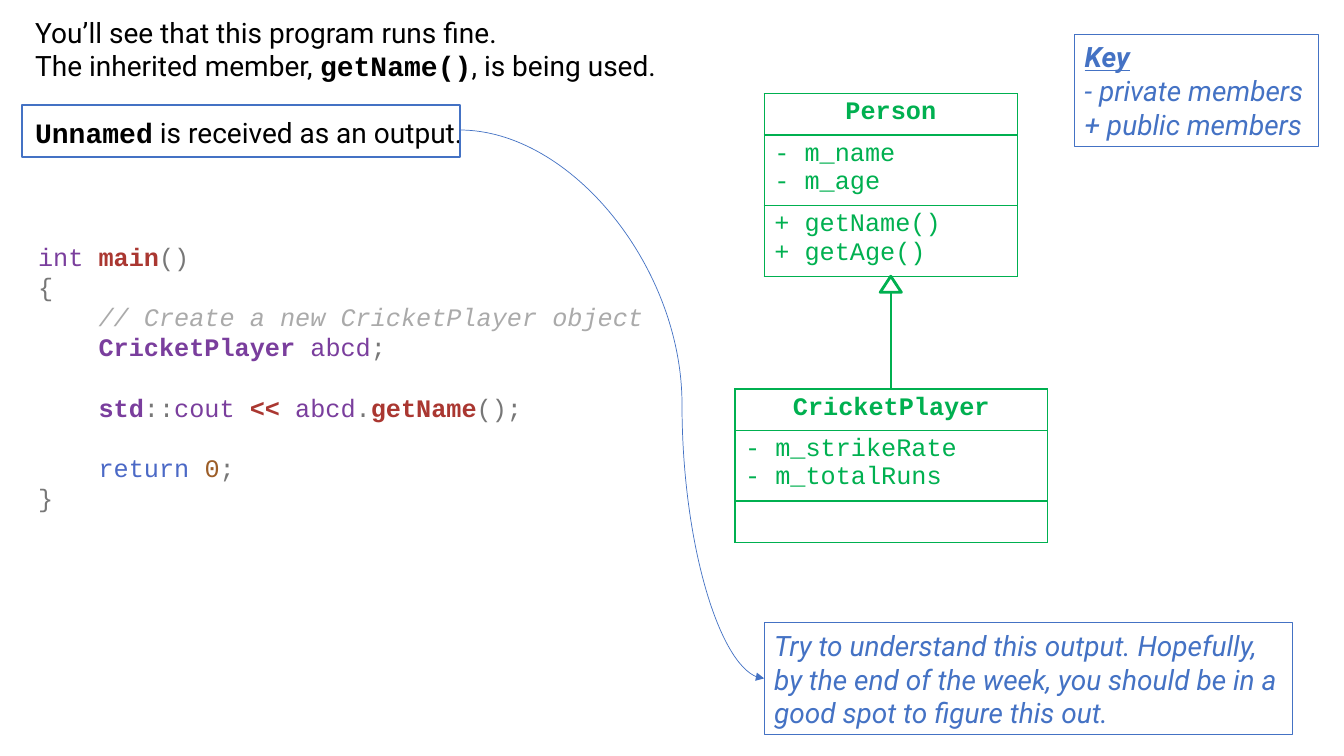
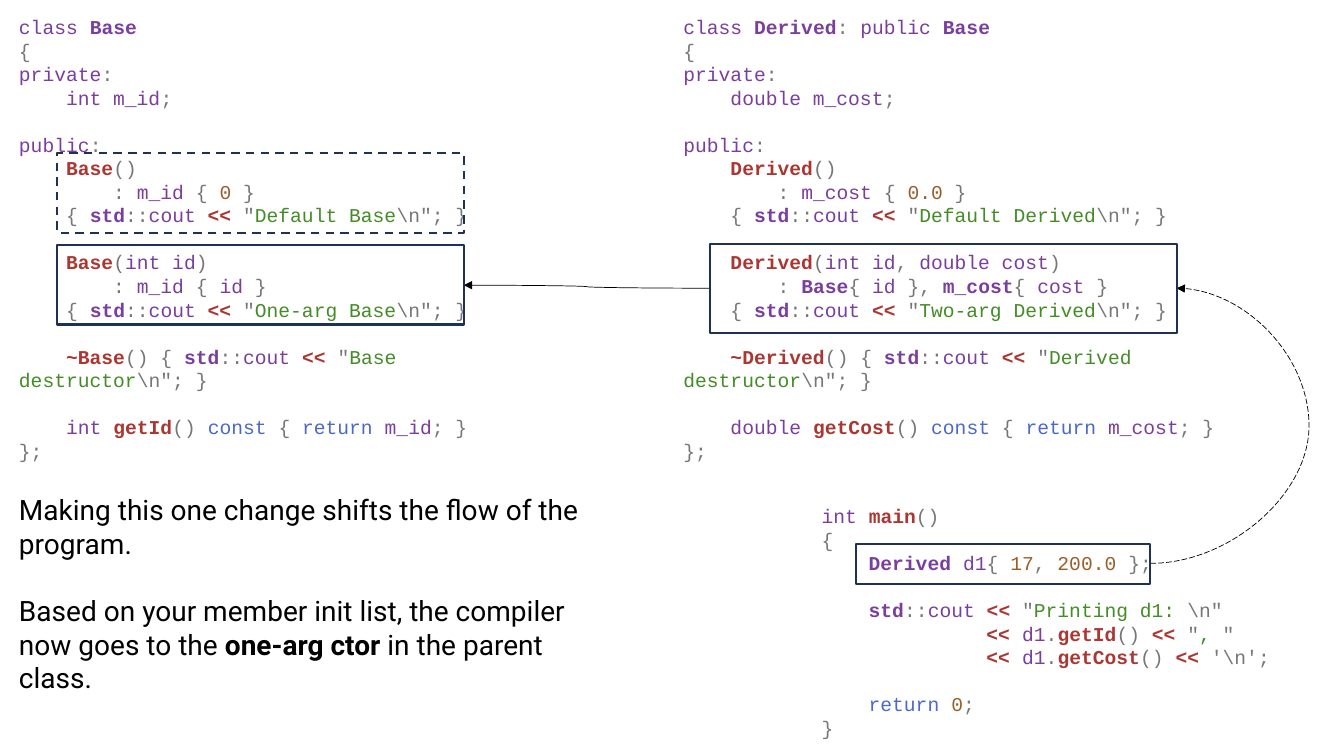
"""Build two slides on inherited members and constructor flow in C++."""
from lxml import etree
from pptx import Presentation
from pptx import util as u
from pptx.dml.color import RGBColor
from pptx.enum import dml, shapes, text
from pptx.oxml import ns

BLACK = RGBColor(0x00, 0x00, 0x00)
WHITE = RGBColor(0xFF, 0xFF, 0xFF)
BLUE = RGBColor(0x44, 0x72, 0xC4)
NAVY = RGBColor(0x1E, 0x32, 0x56)
GREEN = RGBColor(0x00, 0xB0, 0x50)
VIOLET = RGBColor(0x7A, 0x3E, 0x9D)
RED = RGBColor(0xAA, 0x37, 0x31)
GREY = RGBColor(0x77, 0x77, 0x77)
PALE_GREY = RGBColor(0xAA, 0xAA, 0xAA)
KEYWORD_BLUE = RGBColor(0x4B, 0x69, 0xC6)
BROWN = RGBColor(0x9C, 0x5D, 0x27)
STRING_GREEN = RGBColor(0x44, 0x8C, 0x27)

MONO, SANS = "Courier New", "Roboto"
STYLES = {
    "v": (VIOLET, {"name": MONO}),
    "V": (VIOLET, {"name": MONO, "bold": True}),
    "r": (RED, {"name": MONO, "bold": True}),
    "g": (GREY, {"name": MONO}),
    "c": (PALE_GREY, {"name": MONO, "italic": True}),
    "k": (KEYWORD_BLUE, {"name": MONO}),
    "n": (BROWN, {"name": MONO}),
    "s": (STRING_GREEN, {"name": MONO}),
    "p": (BLACK, {"name": SANS}),
    "P": (BLACK, {"name": SANS, "bold": True}),
    "M": (BLACK, {"name": MONO, "bold": True}),
    "i": (BLUE, {"name": SANS, "italic": True}),
    "K": (BLUE, {"name": SANS, "italic": True, "bold": True, "underline": True}),
    "t": (GREEN, {"name": MONO}),
    "T": (GREEN, {"name": MONO, "bold": True}),
}
LINE_HEIGHT = 1.2


def write(frame, lines, size, align=text.PP_ALIGN.LEFT):
    """Write lines of style`text pairs; an empty line becomes space before the next."""
    frame.word_wrap = True
    para, gap = None, 0
    for line in lines:
        if not line:
            gap += size * LINE_HEIGHT
            continue
        para = frame.add_paragraph() if para is not None else frame.paragraphs[0]
        para.alignment = align
        para.space_before = u.Pt(gap)
        gap = 0
        parts = line.split("`")
        for style, words in zip(parts[::2], parts[1::2]):
            color, formats = STYLES[style]
            span = para.add_run()
            span.text = words
            for name, value in {"size": u.Pt(size), **formats}.items():
                setattr(span.font, name, value)
            span.font.color.rgb = color


deck = Presentation()
deck.slide_width, deck.slide_height = u.Inches(13.33), u.Inches(7.5)
output_page, flow_page = [deck.slides.add_slide(deck.slide_layouts[6]) for _ in range(2)]

output_main = [
    "v`int `r`main`g`()",
    "g`{",
    "c`    // Create a new CricketPlayer object",
    "V`    CricketPlayer `v`abcd`g`;",
    "",
    "V`    std`g`::`v`cout `r`<< `v`abcd`g`.`r`getName`g`();",
    "",
    "k`    return `n`0`g`;",
    "g`}",
]
output_notes = [
    "p`You’ll see that this program runs fine.",
    "p`The inherited member, `M`getName()`p`, is being used.",
    "",
    "M`Unnamed`p` is received as an output.",
]
flow_main = [
    "v`int `r`main`g`()",
    "g`{",
    "V`    Derived `v`d1`g`{ `n`17`g`, `n`200.0 `g`};",
    "",
    r'V`    std`g`::`v`cout `r`<< `g`"`s`Printing d1: `g`\n"',
    'r`              << `v`d1`g`.`r`getId`g`() `r`<< `g`"`s`, `g`"',
    r"r`              << `v`d1`g`.`r`getCost`g`() `r`<< `g`'\n';",
    "",
    "k`    return `n`0`g`;",
    "g`}",
]
flow_notes = [
    "p`Making this one change shifts the flow of the program.",
    "",
    "p`Based on your member init list, the compiler now goes to the "
    "`P`one-arg ctor`p` in the parent class.",
]
listings = [
    (output_page, (0.28, 2.34, 6.66, 2.83), output_main, 18),
    (output_page, (0.25, 0.1, 12.83, 1.45), output_notes, 20),
    (flow_page, (8.05, 4.95, 5.19, 2.46), flow_main, 14),
    (flow_page, (0.09, 4.84, 6.13, 1.78), flow_notes, 20),
]

classes = [
    ((6.68, 0.1, 6.56, 4.34), "Derived", "g`: `v`public `V`Base", "double", "m_cost", "0.0",
     "v`int id`g`, `v`double cost", "V`Base`g`{ `v`id `g`}, `V`m_cost`g`{ `v`cost ",
     "Two-arg", "getCost"),
    ((0.09, 0.1, 5.84, 4.34), "Base", "", "int", "m_id", "0",
     "v`int id", "v`m_id `g`{ `v`id ", "One-arg", "getId"),
]
for place, name, parent, kind, member, default, arguments, initialiser, label, getter in classes:
    printing = 'V`std`g`::`v`cout `r`<< `g`"`s`'
    heading = f"v`class `V`{name}"
    listings.append((flow_page, place, [
        f"{heading}`{parent}" if parent else heading,
        "g`{",
        "v`private`g`:",
        f"v`    {kind} {member}`g`;",
        "",
        "v`public`g`:",
        f"r`    {name}`g`()",
        f"g`        : `v`{member} `g`{{ `n`{default} `g`}}",
        rf'g`    {{ `{printing}Default {name}`g`\n"; }}',
        "",
        f"r`    {name}`g`(`{arguments}`g`)",
        f"g`        : `{initialiser}`g`}}",
        rf'g`    {{ `{printing}{label} {name}`g`\n"; }}',
        "",
        rf'r`    ~{name}`g`() {{ `{printing}{name} destructor`g`\n"; }}',
        "",
        f"v`    {kind} `r`{getter}`g`() `k`const `g`{{ `k`return `v`{member}`g`; }}",
        "g`};",
    ], 14))

for page, place, lines, size in listings:
    box = page.shapes.add_textbox(*map(u.Inches, place))
    write(box.text_frame, lines, size)

connectors = [
    (output_page, shapes.MSO_CONNECTOR.STRAIGHT, (8.84, 2.9, 8.84, 3.86), GREEN, 1.5, None, None),
    (output_page, shapes.MSO_CONNECTOR.CURVE, (4.56, 1.29, 7.58, 6.73), BLUE, 0.5, None, 73000),
    (flow_page, shapes.MSO_CONNECTOR.CURVE, (7.04, 2.86, 4.6, 2.83), BLACK, 0.5, None, 50000),
    (flow_page, shapes.MSO_CONNECTOR.CURVE, (11.41, 5.59, 11.67, 2.86), BLACK, 0.5,
     dml.MSO_LINE.LONG_DASH, 605700),
]
for page, kind, ends, color, width, dash, bend in connectors:
    connector = page.shapes.add_connector(kind, *map(u.Inches, ends))
    connector.line.color.rgb = color
    connector.line.width = u.Pt(width)
    if dash:
        connector.line.dash_style = dash
    properties = connector._element.spPr
    etree.SubElement(properties, ns.qn("a:effectLst"))
    if bend:
        etree.SubElement(properties.find(ns.qn("a:ln")), ns.qn("a:tailEnd"), type="triangle")
        guides = properties.find(ns.qn("a:prstGeom")).find(ns.qn("a:avLst"))
        etree.SubElement(guides, ns.qn("a:gd"), name="adj1", fmla=f"val {bend}")

key_lines = ["K`Key", "i`- private members", "i`+ public members"]
hint_lines = ["i`Try to understand this output. Hopefully, by the end of the week, "
              "you should be in a good spot to figure this out."]
RECTANGLE = shapes.MSO_SHAPE.RECTANGLE
TRIANGLE = shapes.MSO_SHAPE.ISOSCELES_TRIANGLE
DASH = dml.MSO_LINE.DASH
outlines = [
    (output_page, TRIANGLE, (8.73, 2.74, 0.21, 0.16), GREEN, 2, None, []),
    (output_page, RECTANGLE, (10.66, 0.34, 2.42, 1.11), BLUE, 0.75, None, key_lines),
    (output_page, RECTANGLE, (0.22, 1.04, 4.34, 0.52), BLUE, 1.5, None, []),
    (output_page, RECTANGLE, (7.58, 6.18, 5.24, 1.11), BLUE, 0.75, None, hint_lines),
    (flow_page, RECTANGLE, (7.04, 2.42, 4.63, 0.88), NAVY, 1.5, None, []),
    (flow_page, RECTANGLE, (8.49, 5.4, 2.92, 0.39), NAVY, 1.5, None, []),
    (flow_page, RECTANGLE, (0.57, 1.52, 4.03, 0.79), NAVY, 1.5, DASH, []),
    (flow_page, RECTANGLE, (0.57, 2.43, 4.03, 0.79), NAVY, 1.5, None, []),
]
for page, kind, place, color, width, dash, lines in outlines:
    outline = page.shapes.add_shape(kind, *map(u.Inches, place))
    outline.shadow.inherit = False
    if kind == TRIANGLE:
        outline.fill.solid()
        outline.fill.fore_color.rgb = WHITE
    else:
        outline.fill.background()
    outline.line.color.rgb = color
    outline.line.width = u.Pt(width)
    if dash:
        outline.line.dash_style = dash
    if lines:
        outline.text_frame.vertical_anchor = text.MSO_ANCHOR.MIDDLE
        write(outline.text_frame, lines, 20)

diagrams = [
    ((7.58, 0.93, 2.51, 1.81), (0.41, 0.7, 0.7),
     [["T`Person"], ["t`- m_name", "t`- m_age"], ["t`+ getName()", "t`+ getAge()"]]),
    ((7.29, 3.86, 3.1, 1.51), (0.41, 0.7, 0.41),
     [["T`CricketPlayer"], ["t`- m_strikeRate", "t`- m_totalRuns"], []]),
]
for place, heights, sections in diagrams:
    table = output_page.shapes.add_table(len(sections), 1, *map(u.Inches, place)).table
    for index, (height, lines) in enumerate(zip(heights, sections)):
        table.rows[index].height = u.Inches(height)
        cell = table.cell(index, 0)
        cell.fill.background()
        align = text.PP_ALIGN.LEFT if index else text.PP_ALIGN.CENTER
        write(cell.text_frame, lines, 18, align)
        for position, side in enumerate(("lnL", "lnR", "lnT", "lnB")):
            border = etree.Element(ns.qn(f"a:{side}"), w=str(u.Pt(1)))
            fill = etree.SubElement(border, ns.qn("a:solidFill"))
            etree.SubElement(fill, ns.qn("a:srgbClr"), val=str(GREEN))
            cell._tc.get_or_add_tcPr().insert(position, border)

deck.save("out.pptx")
